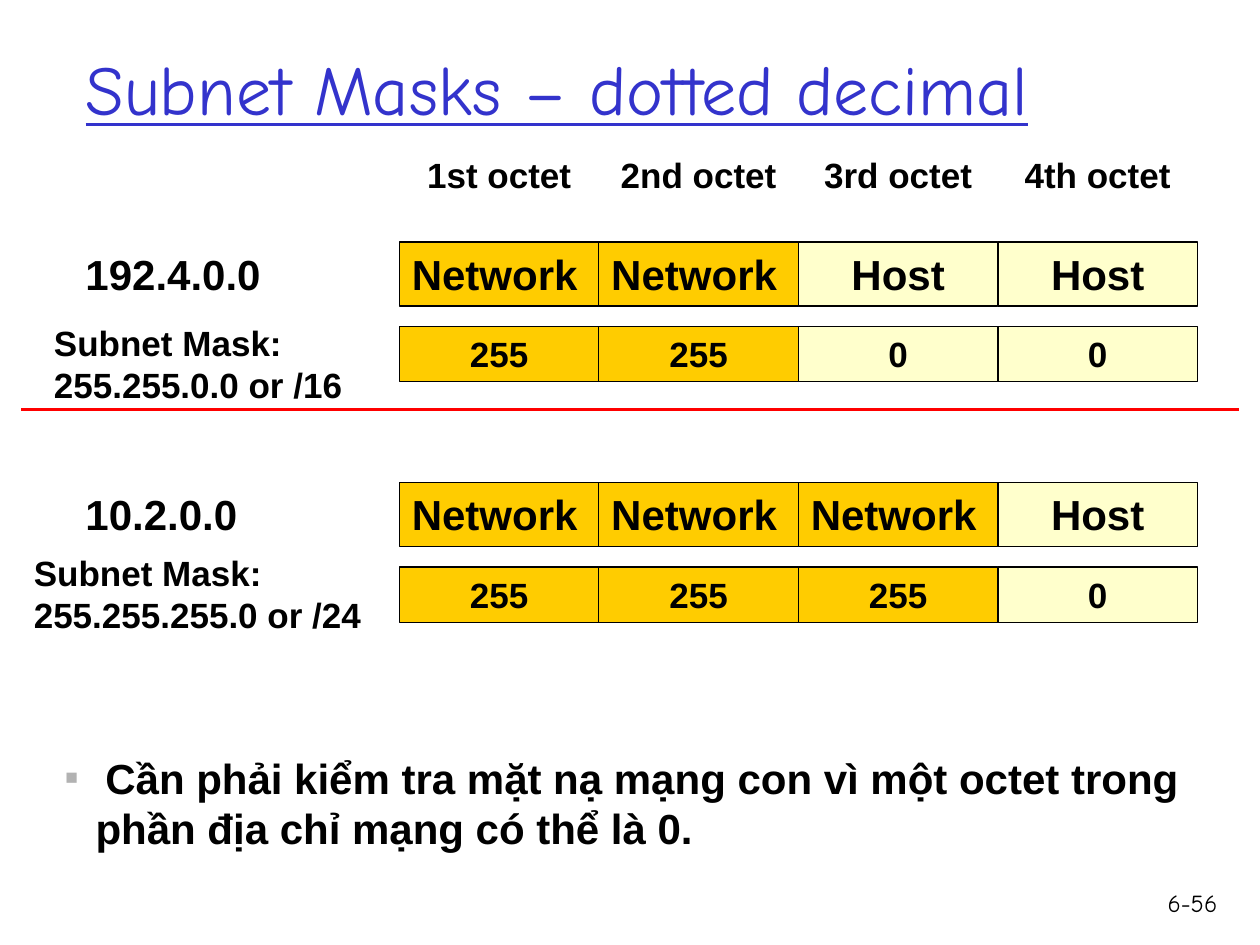
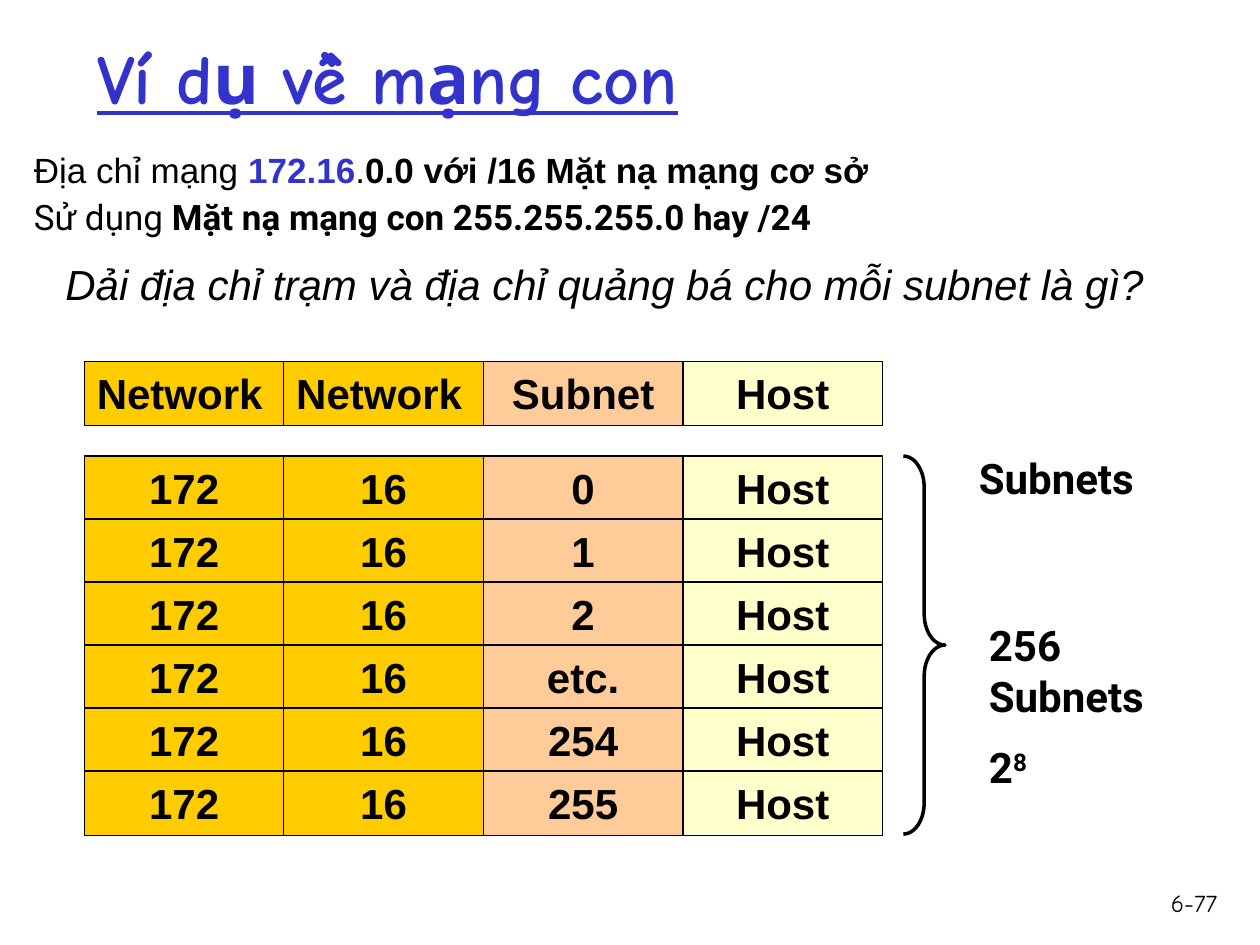
from lxml import etree
from pptx import Presentation
from pptx.dml.color import RGBColor
from pptx.enum import shapes as kinds, text as modes
from pptx.oxml import ns
from pptx.util import Inches, Pt

BLACK, BLUE, RED, GREY = "000000", "3333CC", "FF0000", "B2B2B2"
GOLD, PEACH, CREAM = "FFCC00", "FFCC99", "FFFFCC"
SANS, COMIC, ROBOTO = "Arial", "Comic Neue", "Roboto"
LEFT, CENTER, RIGHT = (modes.PP_ALIGN.LEFT, modes.PP_ALIGN.CENTER,
                       modes.PP_ALIGN.RIGHT)
CELL = 19 / 12


def color(code):
    """Turn a hex string into a colour."""
    return RGBColor.from_string(code)


def add_run(para, words, size, font=SANS, bold=True, ink=BLACK,
            italic=False, line=False):
    """Add one formatted run to a paragraph."""
    run = para.add_run()
    run.text = words
    face = run.font
    face.name, face.size, face.bold = font, Pt(size), bold
    face.italic, face.underline = italic, line
    face.color.rgb = color(ink)
    return run


def add_box(slide, left, top, width, height, align=LEFT):
    """Add a wrapping text box and return its first paragraph."""
    box = slide.shapes.add_textbox(
        Inches(left), Inches(top), Inches(width), Inches(height))
    box.text_frame.word_wrap = True
    para = box.text_frame.paragraphs[0]
    para.alignment = align
    return para


def add_label(slide, spot, words, size, align=LEFT, **style):
    """Add a text box that holds a single run."""
    add_run(add_box(slide, *spot, align), words, size, **style)


def add_row(slide, left, top, height, words, fills, size=24):
    """Draw one row of address cells side by side."""
    for i, (word, fill) in enumerate(zip(words, fills)):
        cell = slide.shapes.add_shape(
            kinds.MSO_SHAPE.RECTANGLE, Inches(left + i * CELL), Inches(top),
            Inches(CELL), Inches(height))
        cell.shadow.inherit = False
        cell.fill.solid()
        cell.fill.fore_color.rgb = color(fill)
        cell.line.color.rgb = color(BLACK)
        cell.line.width = Pt(0.75)
        frame = cell.text_frame
        frame.word_wrap = True
        frame.vertical_anchor = modes.MSO_ANCHOR.TOP
        para = frame.paragraphs[0]
        para.alignment = LEFT if word == "Network" else CENTER
        add_run(para, word, size)


def add_rule(slide, left, right, top):
    """Draw a red horizontal rule."""
    rule = slide.shapes.add_connector(
        kinds.MSO_CONNECTOR.STRAIGHT, Inches(left), Inches(top),
        Inches(right), Inches(top))
    rule.line.color.rgb = color(RED)
    rule.line.width = Pt(2)
    etree.SubElement(rule._element.spPr, ns.qn("a:effectLst"))


def add_brace(slide, left, top, width, height):
    """Draw a right brace."""
    brace = slide.shapes.add_shape(
        kinds.MSO_SHAPE.RIGHT_BRACE, Inches(left), Inches(top),
        Inches(width), Inches(height))
    brace.adjustments[0], brace.adjustments[1] = 0.75, 0.5
    brace.shadow.inherit = False
    brace.fill.background()
    brace.line.color.rgb = color(BLACK)
    brace.line.width = Pt(2)


def set_bullet(para, indent):
    """Give a paragraph a small grey square bullet."""
    props = para._p.get_or_add_pPr()
    props.set("marL", str(Inches(indent)))
    props.set("indent", str(-Inches(indent)))
    tint = etree.SubElement(props, ns.qn("a:buClr"))
    etree.SubElement(tint, ns.qn("a:srgbClr"), val=GREY)
    etree.SubElement(props, ns.qn("a:buSzPct"), val="60000")
    etree.SubElement(props, ns.qn("a:buFont"), typeface=SANS)
    etree.SubElement(props, ns.qn("a:buChar"), char="■")


def add_slide(deck, title, spot, number, bold=False):
    """Add a slide with its title and page number."""
    slide = deck.slides.add_slide(deck.slide_layouts[5])
    head = slide.shapes.title
    head.left, head.top, head.width, head.height = map(Inches, spot)
    frame = head.text_frame
    frame.auto_size = modes.MSO_AUTO_SIZE.NONE
    frame.vertical_anchor = modes.MSO_ANCHOR.MIDDLE
    para = frame.paragraphs[0]
    para.alignment = LEFT
    add_run(para, title, 40, COMIC, bold, BLUE, line=True)
    add_label(slide, (9.08, 7, 0.68, 0.5), number, 14, RIGHT,
              font=COMIC, bold=False)
    return slide


def build_masks(deck):
    """Build the slide on dotted decimal masks."""
    slide = add_slide(deck, "Subnet Masks – dotted decimal",
                      (0.58, 0.07, 8.5, 1.25), "6-56")
    left = 3.17
    for i, rank in enumerate(("1st", "2nd", "3rd", "4th")):
        add_label(slide, (left + i * CELL, 1.17, CELL, 0.43),
                  f"{rank} octet", 20, CENTER)
    blocks = (
        (1.92, "192.4.0.0", 2, "255.255.0.0 or /16", (0.33, 2.5, 2.67, 0.77)),
        (3.83, "10.2.0.0", 3, "255.255.255.0 or /24", (0.17, 4.33, 2.83, 0.77)),
    )
    for top, address, nets, mask, spot in blocks:
        hosts = 4 - nets
        fills = [GOLD] * nets + [CREAM] * hosts
        add_label(slide, (0.58, top, 2.42, 0.5), address, 24)
        add_label(slide, spot, f"Subnet Mask: {mask}", 20)
        add_row(slide, left, top, 0.51,
                ["Network"] * nets + ["Host"] * hosts, fills)
        add_row(slide, left, top + 0.67, 0.44,
                ["255"] * nets + ["0"] * hosts, fills, 20)
    add_rule(slide, 0.17, 9.83, 3.25)
    note = add_box(slide, 0.42, 5.92, 9.42, 0.9)
    set_bullet(note, 0.24)
    add_run(note, " ", 20, bold=False)
    add_run(note, "Cần phải kiểm tra mặt nạ mạng con vì một octet trong "
            "phần địa chỉ mạng có thể là 0.", 24)


def build_subnets(deck):
    """Build the slide with the subnet example."""
    slide = add_slide(deck, "Ví dụ về mạng con",
                      (0.67, 0.12, 7.06, 0.97), "6-77", True)
    given = add_box(slide, 0.17, 1.17, 9.17, 0.33)
    given.line_spacing = 0.9
    add_run(given, "Địa chỉ mạng ", 20, bold=False)
    add_run(given, "172.16", 20, ink=BLUE)
    add_run(given, ".", 20, bold=False)
    add_run(given, "0.0 với /16 Mặt nạ mạng cơ sở", 20)
    used = add_box(slide, 0.17, 1.5, 9.25, 0.43)
    add_run(used, "Sử dụng ", 20, ROBOTO, False)
    add_run(used, "Mặt nạ mạng con 255.255.255.0 hay /24", 20, ROBOTO)
    add_label(slide, (0.42, 2, 9.58, 0.4),
              "Dải địa chỉ trạm và địa chỉ quảng bá cho mỗi subnet là gì?",
              24, bold=False, italic=True)

    fills = (GOLD, GOLD, PEACH, CREAM)
    add_row(slide, 0.67, 2.87, 0.51,
            ("Network", "Network", "Subnet", "Host"), fills)
    for i, subnet in enumerate(("0", "1", "2", "etc.", "254", "255")):
        add_row(slide, 0.67, 3.62 + i * 0.5, 0.51,
                ("172", "16", subnet, "Host"), fills)
    add_brace(slide, 7.17, 3.62, 0.33, 3)

    add_label(slide, (7.67, 3.54, 1.58, 0.5), "Subnets", 24, font=ROBOTO)
    count = add_box(slide, 7.75, 4.87, 1.58, 1.51)
    add_run(count, "256 Subnets", 24, ROBOTO)
    power = slide.shapes[-1].text_frame.add_paragraph()
    power.space_before = Pt(12)
    add_run(power, "2", 24, ROBOTO)
    raised = add_run(power, "8", 24, ROBOTO)
    raised._r.get_or_add_rPr().set("baseline", "30000")


def main():
    """Build and save the deck."""
    deck = Presentation()
    deck.slide_width, deck.slide_height = Inches(10), Inches(7.5)
    build_masks(deck)
    build_subnets(deck)
    deck.save("out.pptx")


if __name__ == "__main__":
    main()
